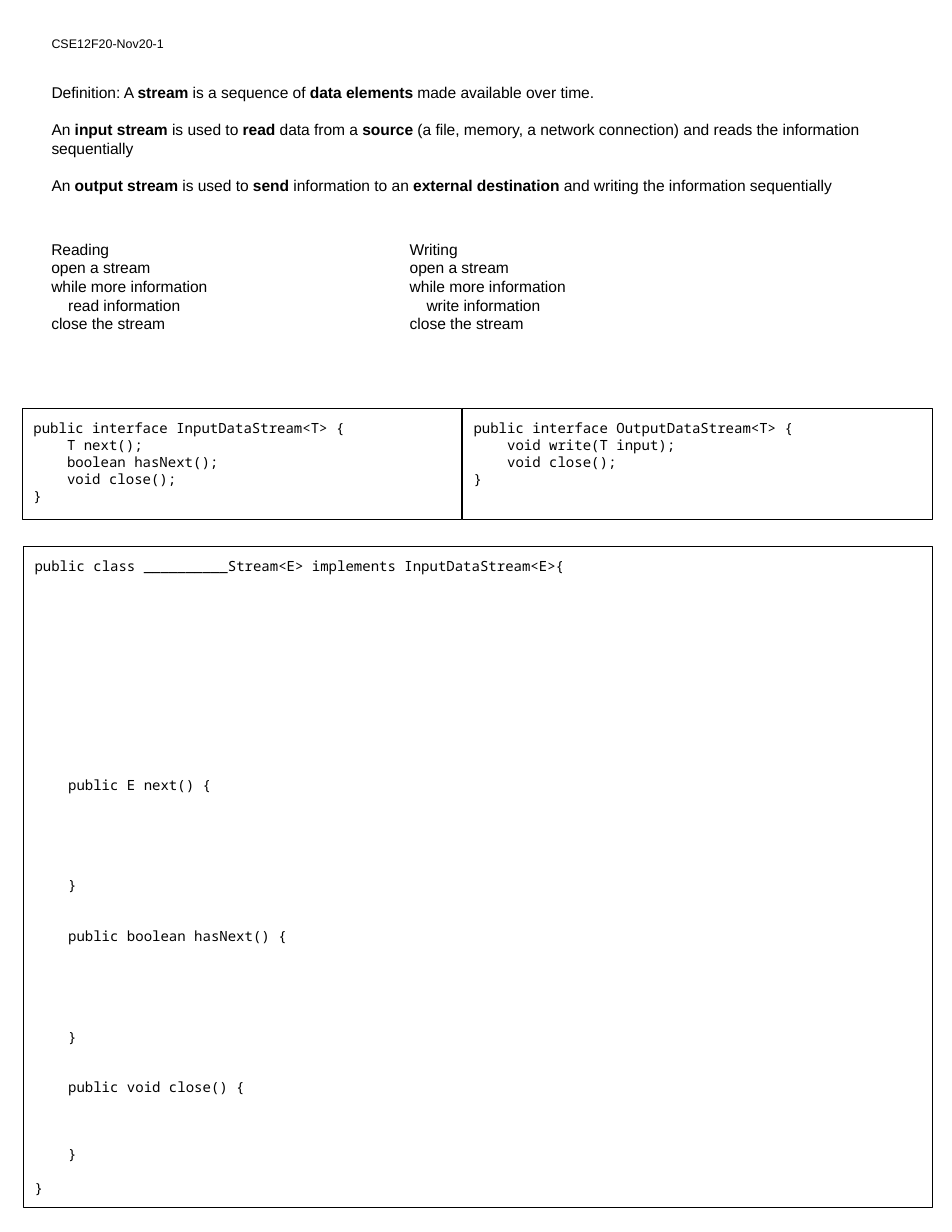
from pptx import Presentation
from pptx.dml.color import RGBColor
from pptx.enum.shapes import MSO_SHAPE
from pptx.enum.text import MSO_ANCHOR, MSO_AUTO_SIZE, PP_ALIGN
from pptx.oxml.xmlchemy import OxmlElement
from pptx.util import Inches, Pt


def color(value):
    """Turn a hex string into a colour."""
    return RGBColor.from_string(value)


class Handout:
    """Holds the style and the current page."""

    ink = "000000"
    leading = 1.2
    prose = {"name": "Arial", "size": Pt(10)}
    label = {"name": "Arial", "size": Pt(8)}
    code = {"name": "Noto Sans Mono", "size": Pt(9)}

    def __init__(self, page):
        self.page = page

    def fill_text(self, box, lines, style, step=0.0, inset=0.1):
        """Write (text, level, blank lines before) rows; ** toggles bold."""
        frame = box.text_frame
        margin = Inches(inset)
        values = {
            "word_wrap": True, "auto_size": MSO_AUTO_SIZE.NONE,
            "vertical_anchor": MSO_ANCHOR.TOP,
            "margin_left": Inches(0.1), "margin_right": Inches(0.1),
            "margin_top": margin, "margin_bottom": margin,
        }
        for name, value in values.items():
            setattr(frame, name, value)
        pitch = style["size"].pt * self.leading
        for index, (text, level, gap) in enumerate(lines):
            para = frame.add_paragraph() if index else frame.paragraphs[0]
            layout = {
                "alignment": PP_ALIGN.LEFT, "line_spacing": Pt(pitch),
                "space_before": Pt(gap * pitch), "space_after": Pt(0),
            }
            for name, value in layout.items():
                setattr(para, name, value)
            properties = para._p.get_or_add_pPr()
            properties.set("marL", str(Inches(step * level)))
            properties.set("indent", "0")
            properties.append(OxmlElement("a:buNone"))
            for part, words in enumerate(text.split("**")):
                if words:
                    span = para.add_run()
                    span.text = words
                    for name, value in {**style, "bold": part % 2 == 1}.items():
                        setattr(span.font, name, value)
                    span.font.color.rgb = color(self.ink)

    def placeholder(self, box, bounds, lines, style):
        """Move a template placeholder and write into it."""
        for name, value in zip(("left", "top", "width", "height"), bounds):
            setattr(box, name, Inches(value))
        self.fill_text(box, lines, style)

    def column(self, bounds, lines):
        """Add a plain text column."""
        box = self.page.shapes.add_textbox(*map(Inches, bounds))
        self.fill_text(box, lines, self.prose, step=0.15, inset=0.05)

    def code_box(self, bounds, lines):
        """Add an outlined box of code."""
        box = self.page.shapes.add_shape(MSO_SHAPE.RECTANGLE, *map(Inches, bounds))
        box.shadow.inherit = False
        box.fill.background()
        box.line.color.rgb = color(self.ink)
        box.line.width = Pt(0.75)
        self.fill_text(box, lines, self.code, step=0.3)


deck = Presentation()
deck.slide_width, deck.slide_height = Inches(8.5), Inches(11)
page = deck.slides.add_slide(deck.slide_layouts[1])
handout = Handout(page)

handout.placeholder(page.shapes.title, (0.36, 0.22, 2.04, 0.33),
                    [("CSE12F20-Nov20-1", 0, 0)], handout.label)
definitions = [
    ("Definition: A **stream** is a sequence of **data elements** made available over time.", 0, 0),
    ("An **input stream** is used to **read **data from a **source **(a file, memory, "
     "a network connection) and reads the information sequentially", 0, 1),
    ("An **output stream** is used to **send **information to an **external destination **"
     "and writing the information sequentially", 0, 1),
]
handout.placeholder(page.placeholders[1], (0.36, 0.64, 7.77, 1.45),
                    definitions, handout.prose)

for left, width, heading, verb in ((0.36, 2.89, "Reading", "read"),
                                   (3.56, 4.25, "Writing", "write")):
    handout.column((left, 2.09, width, 0.94), [
        (heading, 0, 0), ("open a stream", 0, 0), ("while more information", 0, 0),
        (f"{verb} information", 1, 0), ("close the stream", 0, 0),
    ])

interfaces = (
    (0.2, 3.92, "Input", ("T next();", "boolean hasNext();", "void close();")),
    (4.13, 4.2, "Output", ("void write(T input);", "void close();")),
)
for left, width, kind, methods in interfaces:
    handout.code_box((left, 3.65, width, 0.99), [
        (f"public interface {kind}DataStream<T> {{", 0, 0),
        *((method, 1, 0) for method in methods),
        ("}", 0, 0),
    ])

class_lines = [("public class __________Stream<E> implements InputDataStream<E>{", 0, 0)]
for signature, before, room in (("E next()", 12, 5), ("boolean hasNext()", 2, 5),
                                ("void close()", 2, 3)):
    class_lines += [(f"public {signature} {{", 1, before), ("}", 1, room)]
class_lines.append(("}", 0, 1))
handout.code_box((0.21, 4.88, 8.12, 5.9), class_lines)

deck.save("out.pptx")
